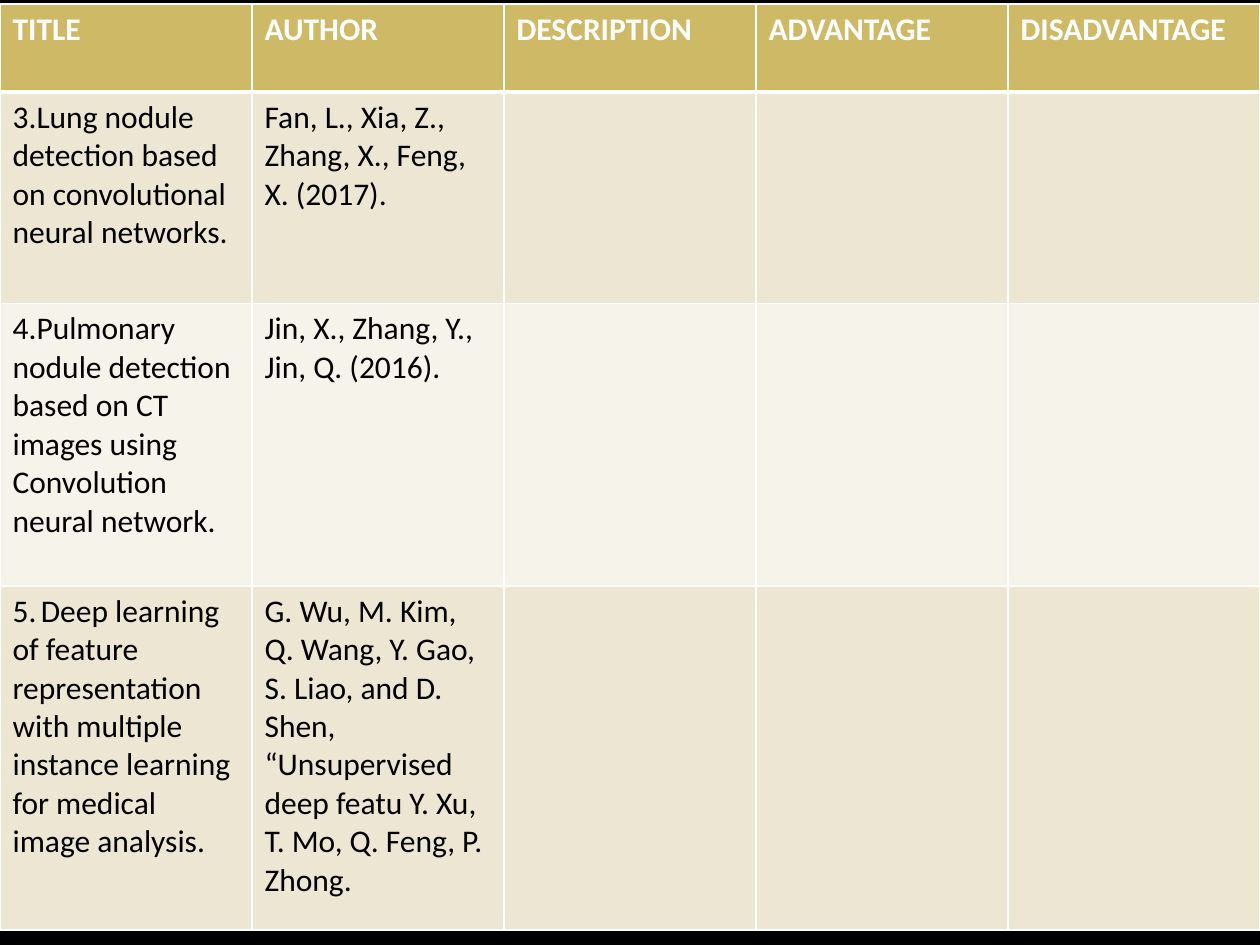
from pptx import Presentation
from pptx.dml.color import RGBColor as RGB
from pptx.oxml import parse_xml
from pptx.oxml.ns import nsdecls
from pptx.util import Inches, Pt

COLORS = {"background": "000000", "header": "CEB966", "odd": "EDE6D3",
          "even": "F6F3EA", "border": "FFFFFF", "header_text": "FFFFFF",
          "text": "000000"}
FONT = "Calibri"
SIZE = 18
GAP_SIZE = 11

HEADERS = ["TITLE", "AUTHOR", "DESCRIPTION", "ADVANTAGE", "DISADVANTAGE"]
PAPERS = [
    (["3.Lung nodule detection based on convolutional neural networks."],
     ["Fan, L., Xia, Z., Zhang, X., Feng, X. (2017)."]),
    (["4.Pulmonary nodule detection based on CT images using Convolution neural network."],
     ["Jin, X., Zhang, Y., Jin, Q. (2016)."]),
    (["5.", " ", "Deep learning of feature representation with multiple instance "
      "learning for medical image analysis."],
     ["G. Wu, M. Kim, Q. Wang, Y. Gao, S. Liao, and D. Shen, “Unsupervised deep "
      "featu Y. Xu, T. Mo, Q. Feng, P. Zhong."]),
]
ROW_HEIGHTS = [0.7, 1.68, 2.24, 2.73]
COL_WIDTH = 2
TOP = 0.03


def set_borders(cell, bottom_width, top_width):
    tcPr = cell._tc.get_or_add_tcPr()
    widths = {"lnL": 1, "lnR": 1, "lnT": top_width, "lnB": bottom_width}
    for i, (side, width) in enumerate(widths.items()):
        tcPr.insert(i, parse_xml(
            f'<a:{side} {nsdecls("a")} w="{Pt(width)}"><a:solidFill>'
            f'<a:srgbClr val="{COLORS["border"]}"/></a:solidFill></a:{side}>'))


def fill_cell(cell, texts, fill, color, bold):
    cell.fill.solid()
    cell.fill.fore_color.rgb = RGB.from_string(COLORS[fill])
    p = cell.text_frame.paragraphs[0]
    p.font.size = Pt(SIZE)
    for text in texts:
        r = p.add_run()
        r.text = text
        r.font.name = FONT
        r.font.size = Pt(SIZE if text.strip() else GAP_SIZE)
        r.font.bold = bold
        r.font.color.rgb = RGB.from_string(COLORS[color])


prs = Presentation()
prs.slide_width, prs.slide_height = Inches(10), Inches(7.5)
s = prs.slides.add_slide(prs.slide_layouts[6])
s.background.fill.solid()
s.background.fill.fore_color.rgb = RGB.from_string(COLORS["background"])

rows = [[[h] for h in HEADERS]]
rows += [list(paper) + [[]] * (len(HEADERS) - len(paper)) for paper in PAPERS]
table = s.shapes.add_table(
    len(rows), len(HEADERS), Inches(0), Inches(TOP),
    Inches(COL_WIDTH * len(HEADERS)), Inches(sum(ROW_HEIGHTS))).table
for col in table.columns:
    col.width = Inches(COL_WIDTH)

for i, (row, height) in enumerate(zip(rows, ROW_HEIGHTS)):
    table.rows[i].height = Inches(height)
    header = i == 0
    fill = "header" if header else "odd" if i % 2 else "even"
    for j, texts in enumerate(row):
        cell = table.cell(i, j)
        fill_cell(cell, texts, fill, "header_text" if header else "text", header)
        set_borders(cell, 3 if header else 1, 3 if i == 1 else 1)

prs.save("out.pptx")
